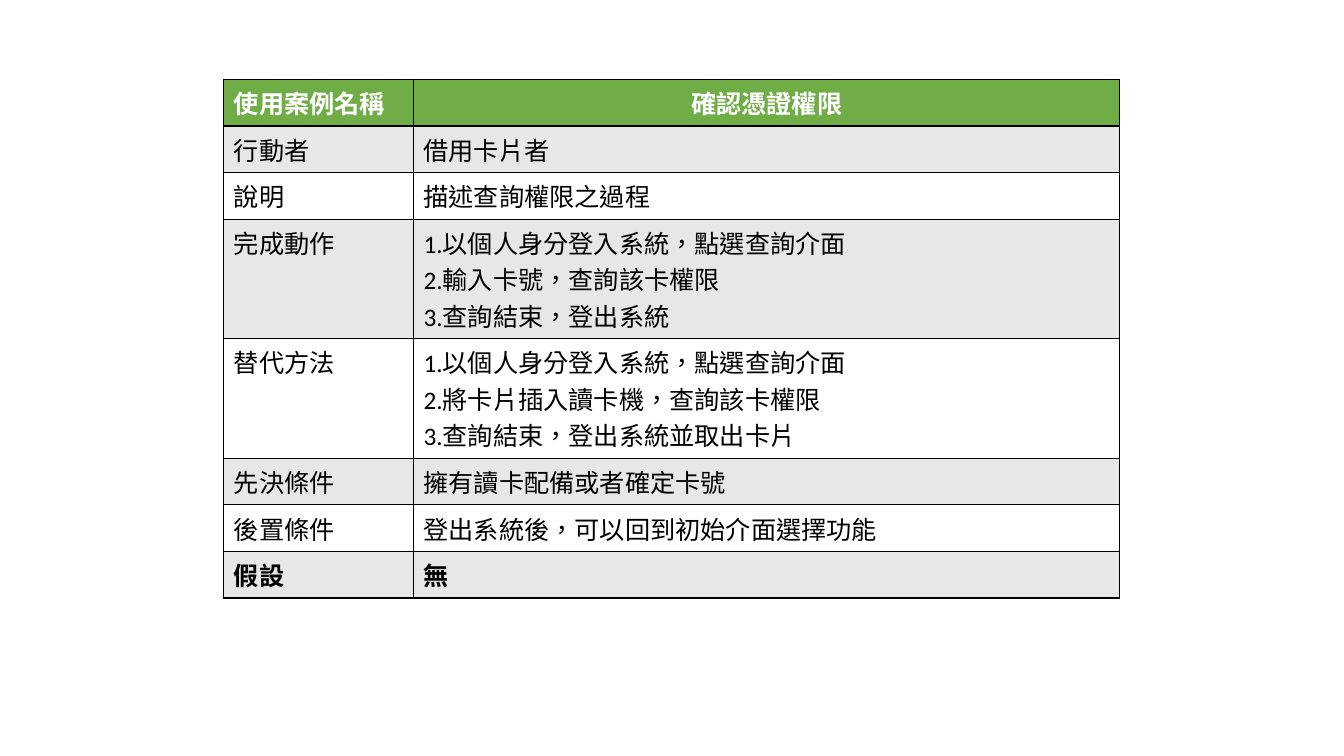
from dataclasses import dataclass

from lxml.etree import SubElement
from pptx import Presentation
from pptx.dml.color import RGBColor as RGB
from pptx.enum.lang import MSO_LANGUAGE_ID as Lang
from pptx.enum.text import PP_ALIGN as Align
from pptx.oxml.ns import qn
from pptx.table import _Cell as Cell
from pptx.util import Cm, Pt


@dataclass(frozen=True)
class Theme:
    font: str = "Calibri"
    size: Pt = Pt(18)
    header: RGB = RGB(0x70, 0xAD, 0x47)
    bands: tuple[RGB, RGB] = (RGB(0xFF, 0xFF, 0xFF), RGB(0xE7, 0xE7, 0xE7))
    header_text: RGB = RGB(0xFF, 0xFF, 0xFF)
    body_text: RGB = RGB(0, 0, 0)
    border: str = "000000"
    border_width: Pt = Pt(1)


@dataclass(frozen=True)
class UseCaseRow:
    label: str
    lines: tuple[str, ...]
    bold: bool = False


THEME = Theme()
LOGIN_STEP = "1.以個人身分登入系統，點選查詢介面"
USE_CASE = (
    UseCaseRow("使用案例名稱", ("確認憑證權限",), bold=True),
    UseCaseRow("行動者", ("借用卡片者",)),
    UseCaseRow("說明", ("描述查詢權限之過程",)),
    UseCaseRow("完成動作", (LOGIN_STEP, "2.輸入卡號，查詢該卡權限", "3.查詢結束，登出系統")),
    UseCaseRow("替代方法", (LOGIN_STEP, "2.將卡片插入讀卡機，查詢該卡權限", "3.查詢結束，登出系統並取出卡片")),
    UseCaseRow("先決條件", ("擁有讀卡配備或者確定卡號",)),
    UseCaseRow("後置條件", ("登出系統後，可以回到初始介面選擇功能",)),
    UseCaseRow("假設", ("無",), bold=True),
)
COLUMN_WIDTHS = (Cm(4.78), Cm(17.8))
ROW_HEIGHT = Cm(1.03)


def draw_borders(cell: Cell) -> None:
    """Put a line on each side; borders must precede the fill in the XML."""
    properties = cell._tc.get_or_add_tcPr()
    for side in ("a:lnL", "a:lnR", "a:lnT", "a:lnB"):
        line = SubElement(properties, qn(side), w=str(int(THEME.border_width)))
        SubElement(SubElement(line, qn("a:solidFill")), qn("a:srgbClr"), val=THEME.border)


def fill_cell(cell: Cell, lines: tuple[str, ...], fill: RGB, color: RGB,
              bold: bool, align: Align) -> None:
    draw_borders(cell)
    cell.fill.solid()
    cell.fill.fore_color.rgb = fill
    cell.text = "\n".join(lines)
    font_format = {"name": THEME.font, "size": THEME.size, "bold": bold,
                   "language_id": Lang.TRADITIONAL_CHINESE}
    for paragraph in cell.text_frame.paragraphs:
        paragraph.alignment = align
        for run in paragraph.runs:
            for name, value in font_format.items():
                setattr(run.font, name, value)
            run.font.color.rgb = color


# Slide
deck = Presentation()
deck.slide_width, deck.slide_height = Cm(33.87), Cm(19.05)
slide = deck.slides.add_slide(deck.slide_layouts[6])

# Use case table: rows grow with their lines
use_case_table = slide.shapes.add_table(
    len(USE_CASE), len(COLUMN_WIDTHS), Cm(5.64), Cm(2.0),
    sum(COLUMN_WIDTHS), ROW_HEIGHT * len(USE_CASE)).table
use_case_table.horz_banding = False
for column, width in zip(use_case_table.columns, COLUMN_WIDTHS):
    column.width = width

# Header and alternating body rows
for index, entry in enumerate(USE_CASE):
    is_header = index == 0
    fill = THEME.header if is_header else THEME.bands[index % 2]
    color = THEME.header_text if is_header else THEME.body_text
    detail_align = Align.CENTER if is_header else Align.LEFT
    use_case_table.rows[index].height = ROW_HEIGHT
    fill_cell(use_case_table.cell(index, 0), (entry.label,), fill, color, entry.bold, Align.LEFT)
    fill_cell(use_case_table.cell(index, 1), entry.lines, fill, color, entry.bold, detail_align)

deck.save("out.pptx")
